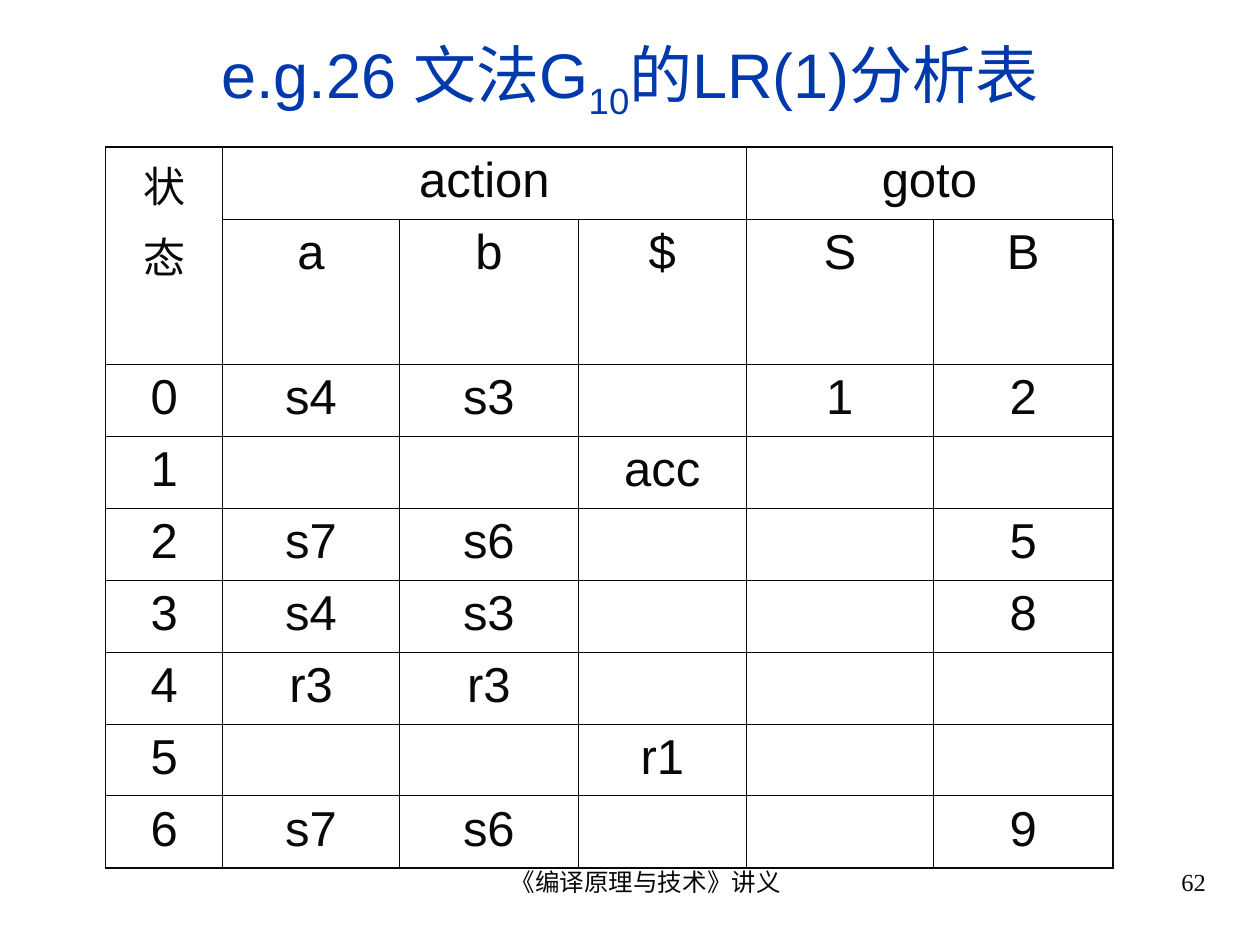
from dataclasses import dataclass

from lxml import etree
from pptx import Presentation
from pptx.dml.color import RGBColor
from pptx.enum import text as t
from pptx.oxml.ns import qn
from pptx.util import Cm, Pt

BLUE = RGBColor(0x00, 0x39, 0xAC)
INK = RGBColor(0x08, 0x08, 0x08)
SANS, SERIF = "Arial", "Times New Roman"
THIN, THICK = Pt(0.45), Pt(1.08)

COLUMN_WIDTHS = (2.36, 3.56, 3.61, 3.38, 3.78, 3.61)
ROW_HEIGHT, SYMBOL_ROW_HEIGHT = 1.45, 2.51
SYMBOLS = ("a", "b", "$", "S", "B")
STATES = (
    ("s4", "s3", "", "1", "2"),
    ("", "", "acc", "", ""),
    ("s7", "s6", "", "", "5"),
    ("s4", "s3", "", "", "8"),
    ("r3", "r3", "", "", ""),
    ("", "", "r1", "", ""),
    ("s7", "s6", "", "", "9"),
)


@dataclass
class Heading:
    lines: tuple[str, ...]
    column: int
    last_row: int
    last_column: int
    size: float = 28


@dataclass
class FooterNote:
    words: str
    left: float
    width: float
    align: t.PP_ALIGN


HEADINGS = (
    Heading(("状", "态"), 0, 1, 0, size=24),
    Heading(("action",), 1, 0, 3),
    Heading(("goto",), 4, 0, 5),
)
FOOTER_NOTES = (
    FooterNote("《编译原理与技术》讲义", 8.69, 8.05, t.PP_ALIGN.CENTER),
    FooterNote("62", 18.21, 6.35, t.PP_ALIGN.RIGHT),
)


def add_run(paragraph, words: str, size: float, font: str, color: RGBColor):
    run = paragraph.add_run()
    run.text = words
    run.font.size = Pt(size)
    run.font.name = font
    run.font.color.rgb = color
    return run


def write_cell(cell, lines: tuple[str, ...], size: float = 28) -> None:
    frame = cell.text_frame
    for index, line in enumerate(lines):
        paragraph = frame.add_paragraph() if index else frame.paragraphs[0]
        paragraph.alignment = t.PP_ALIGN.CENTER
        if index:
            paragraph.space_before = Pt(6)
        add_run(paragraph, line, size, SANS, INK)


def rule_cell(cell, outer_sides: dict[str, bool]) -> None:
    """Draw the four borders, thick where the side is on the table's edge."""
    properties = cell._tc.get_or_add_tcPr()
    for side, is_outer in outer_sides.items():
        line = etree.SubElement(properties, qn(f"a:ln{side}"),
                                w=str(THICK if is_outer else THIN))
        fill = etree.SubElement(line, qn("a:solidFill"))
        etree.SubElement(fill, qn("a:srgbClr"), val=str(INK))
    cell.fill.background()


def add_title(slide) -> None:
    title = slide.shapes.title
    title.left, title.top = Cm(0.84), Cm(0.64)
    title.width, title.height = Cm(23.72), Cm(1.9)
    frame = title.text_frame
    frame.auto_size = t.MSO_AUTO_SIZE.NONE
    frame.vertical_anchor = t.MSO_ANCHOR.MIDDLE
    paragraph = frame.paragraphs[0]
    paragraph.alignment = t.PP_ALIGN.CENTER
    add_run(paragraph, "e.g.26 文法G", 36, SANS, BLUE)
    subscript = add_run(paragraph, "10", 36, SANS, BLUE)
    subscript._r.get_or_add_rPr().set("baseline", "-25000")
    add_run(paragraph, "的LR(1)分析表", 36, SANS, BLUE)


def add_parsing_table(slide) -> None:
    row_heights = (ROW_HEIGHT, SYMBOL_ROW_HEIGHT) + (ROW_HEIGHT,) * len(STATES)
    last_row, last_column = len(row_heights) - 1, len(COLUMN_WIDTHS) - 1
    table = slide.shapes.add_table(
        len(row_heights), len(COLUMN_WIDTHS), Cm(2.13), Cm(2.97),
        Cm(sum(COLUMN_WIDTHS)), Cm(sum(row_heights))).table
    table.first_row = table.horz_banding = False
    for column, width in zip(table.columns, COLUMN_WIDTHS):
        column.width = Cm(width)
    for row, height in zip(table.rows, row_heights):
        row.height = Cm(height)

    for r in range(last_row + 1):
        for c in range(last_column + 1):
            rule_cell(table.cell(r, c), {"L": c == 0, "R": c == last_column,
                                         "T": r == 0, "B": r == last_row})

    for heading in HEADINGS:
        cell = table.cell(0, heading.column)
        cell.merge(table.cell(heading.last_row, heading.last_column))
        write_cell(cell, heading.lines, heading.size)
    for c, symbol in enumerate(SYMBOLS, start=1):
        write_cell(table.cell(1, c), (symbol,))
    for state, entries in enumerate(STATES):
        for c, entry in enumerate((str(state), *entries)):
            if entry:
                write_cell(table.cell(state + 2, c), (entry,))


def add_footer_note(slide, note: FooterNote) -> None:
    box = slide.shapes.add_textbox(Cm(note.left), Cm(17.35), Cm(note.width), Cm(1.32))
    frame = box.text_frame
    frame.word_wrap = True
    paragraph = frame.paragraphs[0]
    paragraph.alignment = note.align
    paragraph._p.get_or_add_pPr().set("marL", str(Cm(0.61)))
    add_run(paragraph, note.words, 14, SERIF, INK)


def main() -> None:
    deck = Presentation()
    deck.slide_width, deck.slide_height = Cm(25.4), Cm(19.05)
    slide = deck.slides.add_slide(deck.slide_layouts[5])
    add_title(slide)
    add_parsing_table(slide)
    for note in FOOTER_NOTES:
        add_footer_note(slide, note)
    deck.save("out.pptx")


if __name__ == "__main__":
    main()
